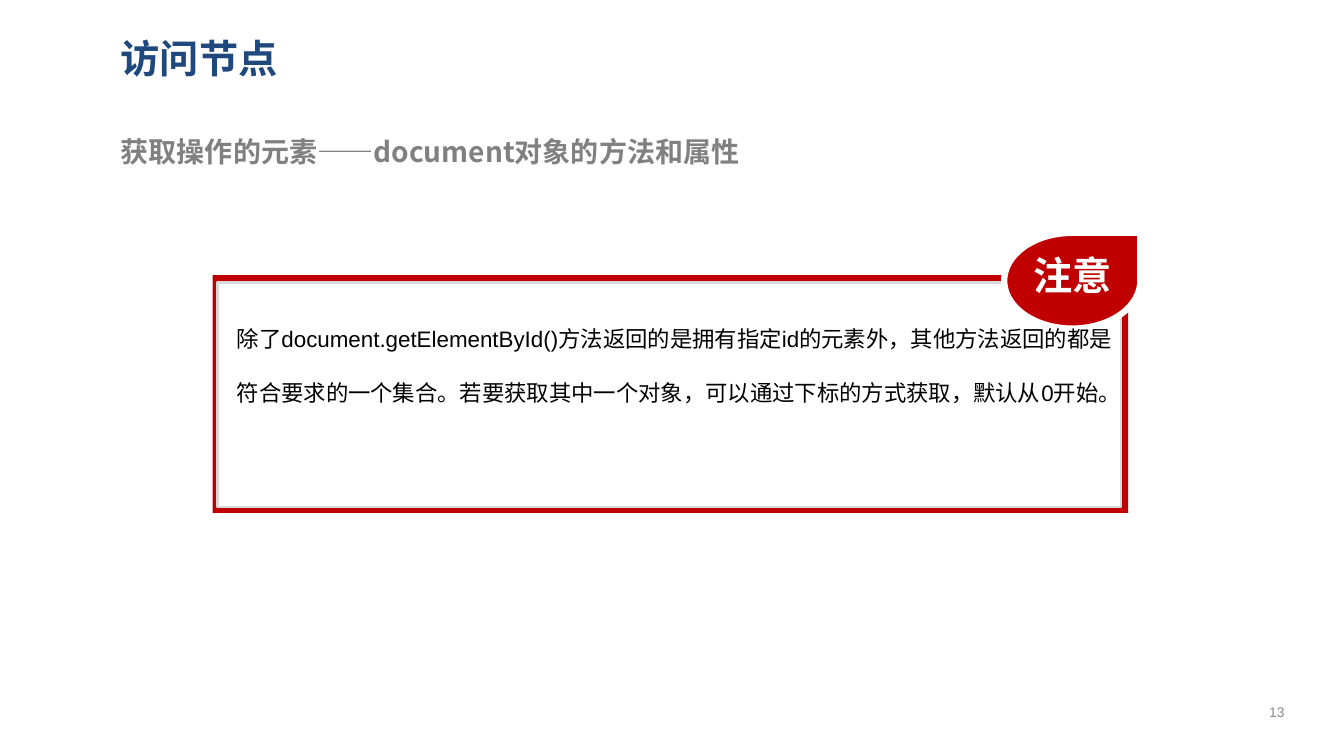
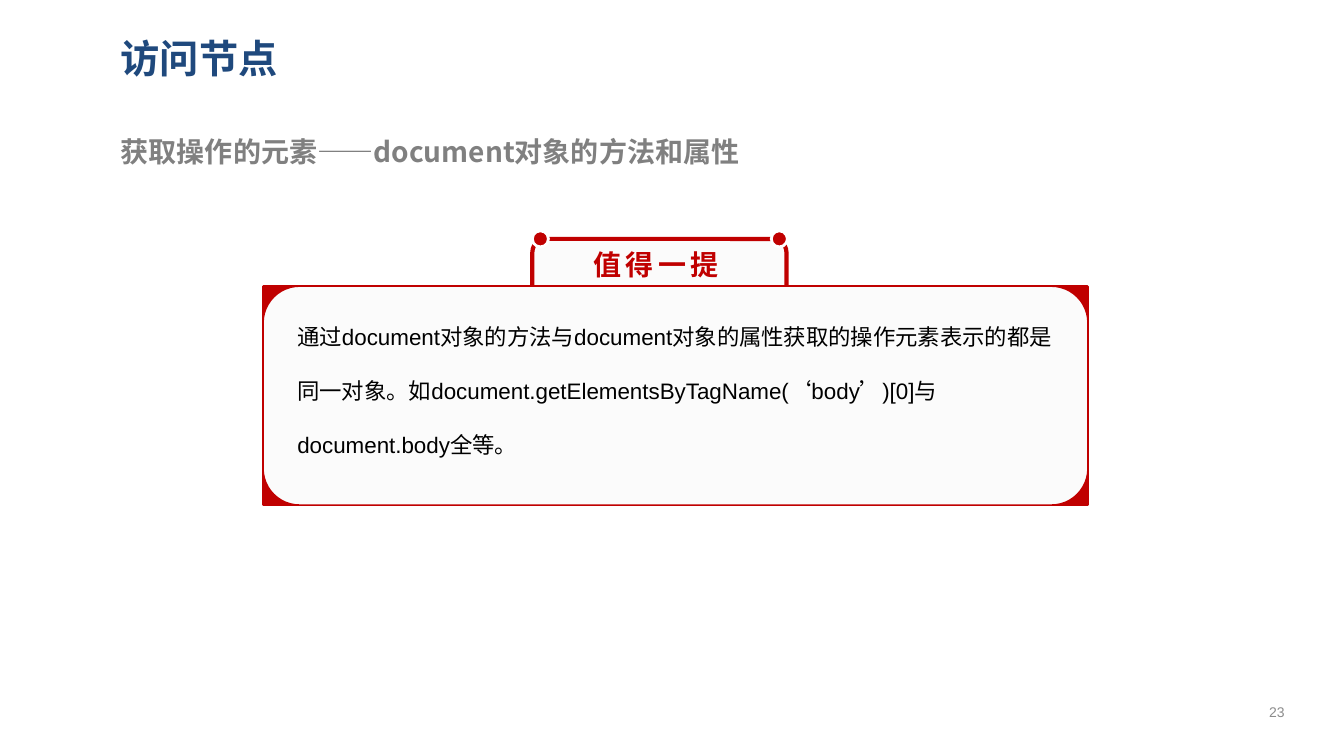
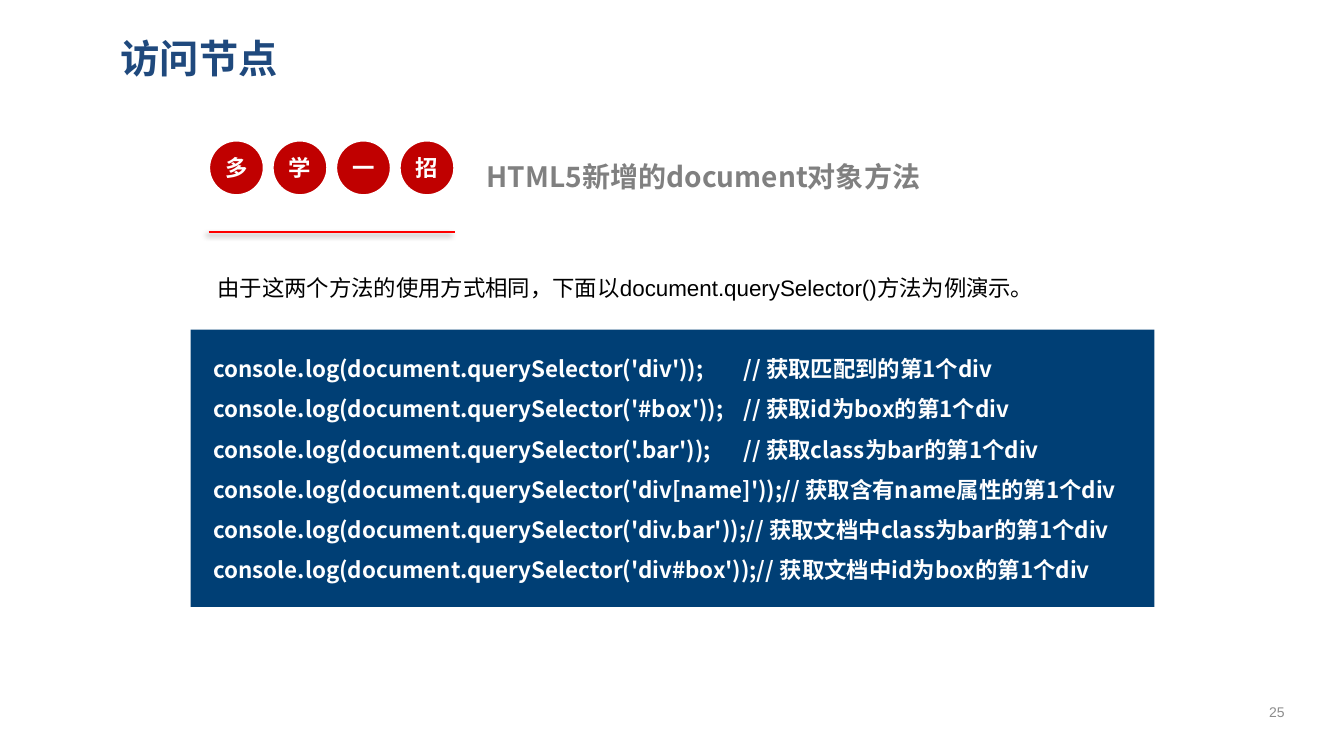
from dataclasses import dataclass, field
from typing import Any

import lxml.etree
import pptx
import pptx.dml.color
import pptx.enum.shapes
import pptx.enum.text
import pptx.oxml
import pptx.oxml.ns
import pptx.util

Inches = pptx.util.Inches
Pt = pptx.util.Pt
RGBColor = pptx.dml.color.RGBColor
Preset = pptx.enum.shapes.MSO_SHAPE
Align = pptx.enum.text.PP_ALIGN
Anchor = pptx.enum.text.MSO_ANCHOR
AutoSize = pptx.enum.text.MSO_AUTO_SIZE
qn = pptx.oxml.ns.qn

NAVY = RGBColor(0x1F, 0x49, 0x7D)
CODE_BLUE = RGBColor(0x00, 0x3F, 0x75)
RED = RGBColor(0xC0, 0x00, 0x00)
RULE_RED = RGBColor(0xFF, 0x00, 0x00)
WHITE = RGBColor(0xFF, 0xFF, 0xFF)
PAPER = RGBColor(0xFB, 0xFB, 0xFB)
BLACK = RGBColor(0x00, 0x00, 0x00)
GRAY = RGBColor(0x80, 0x80, 0x80)
PALE_GRAY = RGBColor(0xD9, 0xD9, 0xD9)
NUMBER_GRAY = RGBColor(0x8C, 0x8C, 0x8C)

CJK = "Noto Sans CJK SC"
LATIN = "Arial"
TITLE = "访问节点"
TOPIC = "获取操作的元素——document对象的方法和属性"
CODE_TAB = 5.26


@dataclass(frozen=True)
class Box:
    left: float
    top: float
    width: float
    height: float

    def lengths(self) -> list[int]:
        return [Inches(v) for v in (self.left, self.top, self.width, self.height)]


@dataclass(frozen=True)
class TextStyle:
    size: float
    color: RGBColor
    font: str = CJK
    bold: bool = True
    spacing: float = 0
    paragraph: dict[str, Any] = field(default_factory=dict)
    frame: dict[str, Any] = field(default_factory=dict)


@dataclass(frozen=True)
class Panel:
    box: Box
    fill: RGBColor
    preset: Any = Preset.RECTANGLE
    line: RGBColor | None = None
    line_width: float = 0


GROW = {"word_wrap": True, "auto_size": AutoSize.SHAPE_TO_FIT_TEXT}
FIT_LINE = {"word_wrap": False, "auto_size": AutoSize.SHAPE_TO_FIT_TEXT}
CENTERED = {"alignment": Align.CENTER}
TIGHT = {f"margin_{side}": 0 for side in ("left", "top", "right", "bottom")}

TITLE_STYLE = TextStyle(28, NAVY, frame={"word_wrap": True, "vertical_anchor": Anchor.MIDDLE})
TOPIC_STYLE = TextStyle(20, GRAY, frame=GROW)
BODY_STYLE = TextStyle(16, BLACK, LATIN, False, paragraph={"line_spacing": 2.0}, frame=GROW)
CODE_STYLE = TextStyle(16, WHITE, paragraph={"line_spacing": 1.5}, frame=GROW)
BADGE_STYLE = TextStyle(28, WHITE, frame=FIT_LINE)
TAB_STYLE = TextStyle(20, RED, spacing=3, frame=FIT_LINE)
CIRCLE_STYLE = TextStyle(
    16, WHITE, paragraph=CENTERED,
    frame={"word_wrap": True, "vertical_anchor": Anchor.MIDDLE, **TIGHT},
)
NUMBER_STYLE = TextStyle(
    10, NUMBER_GRAY, LATIN, False, paragraph=CENTERED,
    frame={"word_wrap": True, "vertical_anchor": Anchor.MIDDLE,
           "margin_top": Inches(0.04), "margin_bottom": Inches(0.04)},
)

CODE_LINES = [
    "console.log(document.querySelector('div'));\t// 获取匹配到的第1个div",
    "console.log(document.querySelector('#box'));\t// 获取id为box的第1个div",
    "console.log(document.querySelector('.bar'));\t// 获取class为bar的第1个div",
    "console.log(document.querySelector('div[name]'));// 获取含有name属性的第1个div",
    "console.log(document.querySelector('div.bar'));// 获取文档中class为bar的第1个div",
    "console.log(document.querySelector('div#box'));// 获取文档中id为box的第1个div",
]


def apply_format(target: Any, values: dict[str, Any]) -> None:
    for name, value in values.items():
        setattr(target, name, value)


def write(shape: Any, lines: list[str], style: TextStyle) -> None:
    frame = shape.text_frame
    apply_format(frame, style.frame)
    for index, line in enumerate(lines):
        paragraph = frame.paragraphs[0] if index == 0 else frame.add_paragraph()
        apply_format(paragraph, {"alignment": Align.LEFT, **style.paragraph})
        if "\t" in line:
            stops = lxml.etree.SubElement(paragraph._p.get_or_add_pPr(), qn("a:tabLst"))
            lxml.etree.SubElement(stops, qn("a:tab"), pos=str(Inches(CODE_TAB)), algn="l")
        run = paragraph.add_run()
        run.text = line
        apply_format(run.font, {"size": Pt(style.size), "bold": style.bold, "name": style.font})
        run.font.color.rgb = style.color
        properties = run._r.get_or_add_rPr()
        lxml.etree.SubElement(properties, qn("a:ea"), typeface=CJK)
        if style.spacing:
            properties.set("spc", str(int(style.spacing * 100)))


def add_text(slide: Any, box: Box, lines: list[str], style: TextStyle) -> None:
    write(slide.shapes.add_textbox(*box.lengths()), lines, style)


def add_panel(slide: Any, panel: Panel) -> Any:
    shape = slide.shapes.add_shape(panel.preset, *panel.box.lengths())
    shape.shadow.inherit = False
    shape.fill.solid()
    shape.fill.fore_color.rgb = panel.fill
    if panel.line is None:
        shape.line.fill.background()
    else:
        shape.line.color.rgb = panel.line
        shape.line.width = Pt(panel.line_width)
    return shape


def add_shadowed_rule(slide: Any, left: float, right: float, top: float) -> None:
    rule = slide.shapes.add_connector(
        pptx.enum.shapes.MSO_CONNECTOR.STRAIGHT,
        Inches(left), Inches(top), Inches(right), Inches(top),
    )
    rule.line.color.rgb = RULE_RED
    rule.line.width = Pt(1.5)
    effects = lxml.etree.SubElement(rule._element.spPr, qn("a:effectLst"))
    shadow = lxml.etree.SubElement(
        effects, qn("a:outerShdw"), blurRad=str(Pt(4)), dist=str(Pt(3)),
        dir=str(135 * 60000), algn="tr", rotWithShape="0",
    )
    color = lxml.etree.SubElement(shadow, qn("a:srgbClr"), val=str(BLACK))
    lxml.etree.SubElement(color, qn("a:alpha"), val="40000")


def add_page(deck: Any, number: int) -> Any:
    slide = deck.slides.add_slide(deck.slide_layouts[6])
    add_text(slide, Box(1.1, 0.24, 11.65, 0.67), [TITLE], TITLE_STYLE)
    add_text(slide, Box(12.34, 6.86, 0.65, 0.4), [str(number)], NUMBER_STYLE)
    return slide


def add_topic(slide: Any) -> None:
    add_text(slide, Box(1.1, 1.29, 9.22, 0.44), [TOPIC], TOPIC_STYLE)


def build_caution(deck: Any) -> None:
    slide = add_page(deck, 13)
    add_topic(slide)
    for panel in (
        Panel(Box(2.11, 2.73, 9.08, 2.36), RED),
        Panel(Box(2.16, 2.8, 8.96, 2.23), WHITE, line=PALE_GRAY, line_width=2),
        Panel(Box(9.96, 2.31, 1.35, 0.95), RED, Preset.TEAR, WHITE, 4.5),
    ):
        add_panel(slide, panel)
    add_text(slide, Box(10.15, 2.44, 0.99, 0.57), ["注意"], BADGE_STYLE)
    caution = (
        "除了document.getElementById()方法返回的是拥有指定id的元素外，"
        "其他方法返回的都是符合要求的一个集合。"
        "若要获取其中一个对象，可以通过下标的方式获取，默认从0开始。"
    )
    add_text(slide, Box(2.25, 2.91, 8.9, 1.82), [caution], BODY_STYLE)


def build_remark(deck: Any) -> None:
    slide = add_page(deck, 23)
    add_topic(slide)
    card = Box(2.61, 2.84, 8.18, 2.17)
    pins = [
        Panel(Box(left, 2.29, 0.16, 0.16), RED, Preset.OVAL, WHITE, 2)
        for left in (5.28, 7.65)
    ]
    for panel in (
        Panel(Box(5.28, 2.37, 2.52, 0.79), PAPER, Preset.ROUNDED_RECTANGLE, RED, 3),
        Panel(card, RED, Preset.FLOWCHART_PROCESS, RED, 2),
        Panel(card, PAPER, Preset.FLOWCHART_ALTERNATE_PROCESS, RED, 1),
        *pins,
    ):
        add_panel(slide, panel)
    add_text(slide, Box(5.79, 2.41, 1.5, 0.44), ["值得一提"], TAB_STYLE)
    remark = (
        "通过document对象的方法与document对象的属性获取的操作元素表示的都是同一对象。"
        "如document.getElementsByTagName(‘body’)[0]与document.body全等。"
    )
    add_text(slide, Box(2.85, 2.89, 7.75, 1.82), [remark], BODY_STYLE)


def build_query_selector(deck: Any) -> None:
    slide = add_page(deck, 25)
    for index, character in enumerate("多学一招"):
        circle = Panel(Box(2.07 + index * 0.63, 1.39, 0.55, 0.55), RED, Preset.OVAL, WHITE, 2)
        write(add_panel(slide, circle), [character], CIRCLE_STYLE)
    add_shadowed_rule(slide, 2.07, 4.51, 2.3)
    add_text(slide, Box(4.73, 1.53, 6.43, 0.44), ["HTML5新增的document对象方法"], TOPIC_STYLE)
    introduction = "由于这两个方法的使用方式相同，下面以document.querySelector()方法为例演示。"
    add_text(slide, Box(2.06, 2.4, 9.38, 0.61), [introduction], BODY_STYLE)
    add_panel(slide, Panel(Box(1.89, 3.27, 9.56, 2.75), CODE_BLUE))
    add_text(slide, Box(2.02, 3.34, 9.64, 2.52), CODE_LINES, CODE_STYLE)


def main() -> None:
    deck = pptx.Presentation()
    apply_format(deck, {"slide_width": Inches(13.33), "slide_height": Inches(7.5)})
    for build in (build_caution, build_remark, build_query_selector):
        build(deck)
    deck.save("out.pptx")


if __name__ == "__main__":
    main()
